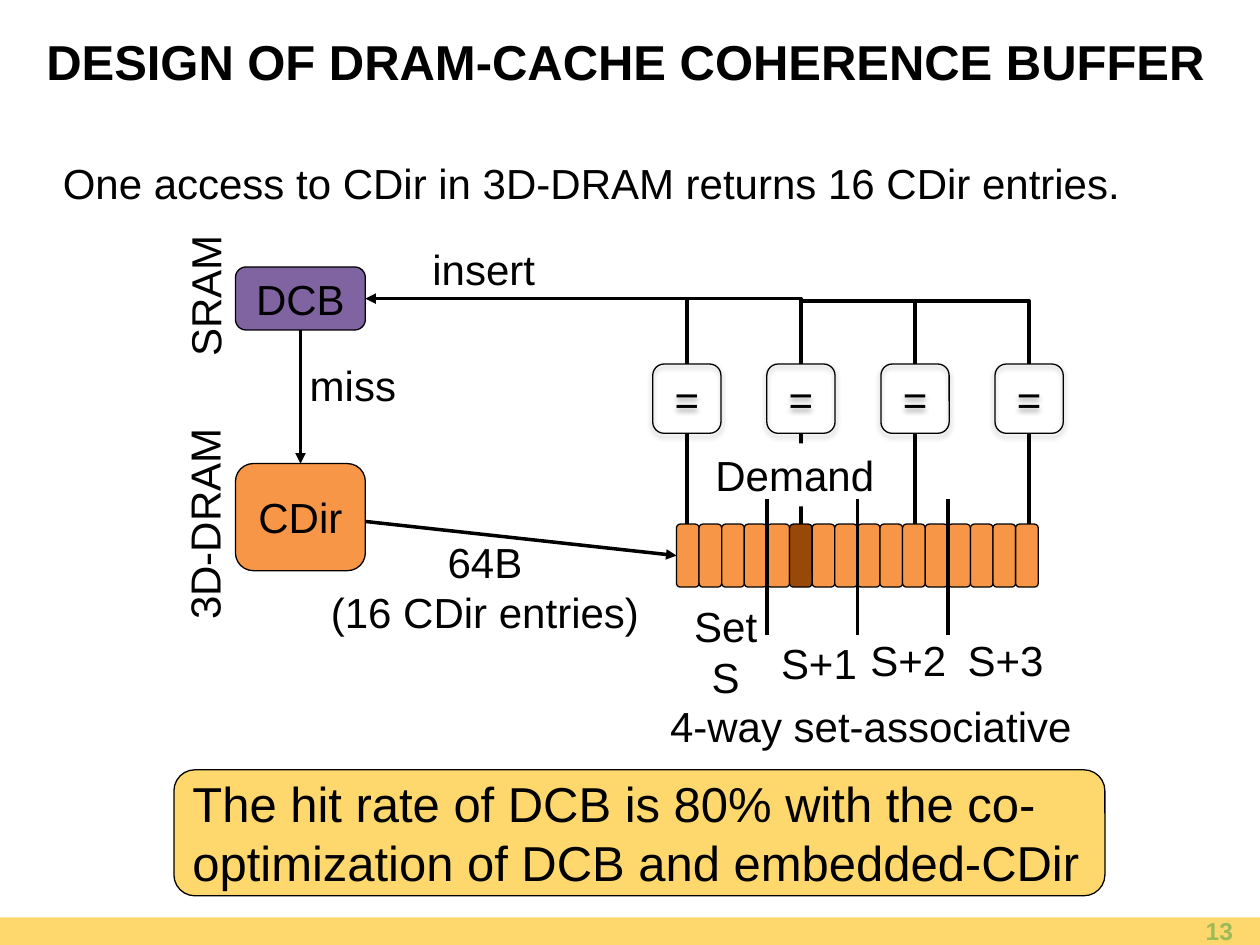
import pptx
import pptx.dml.color
import pptx.enum.shapes
import pptx.enum.text
import pptx.oxml.ns
import pptx.oxml.xmlchemy
import pptx.util

Pt = pptx.util.Pt
SHAPES = pptx.enum.shapes.MSO_SHAPE
CONNECTORS = pptx.enum.shapes.MSO_CONNECTOR
ALIGN = pptx.enum.text.PP_ALIGN
ANCHOR = pptx.enum.text.MSO_ANCHOR
qn = pptx.oxml.ns.qn
new_element = pptx.oxml.xmlchemy.OxmlElement

COLORS = {
    "black": "000000",
    "white": "FFFFFF",
    "gold": "FFD86D",
    "orange": "F79646",
    "brown": "984807",
    "purple": "8064A2",
    "green": "9BBB59",
}


def rgb(name):
    return pptx.dml.color.RGBColor.from_string(COLORS[name])


def write(shape, text, size=24, align=ALIGN.LEFT, anchor=ANCHOR.TOP,
          color="black", bold=False, wrap=True):
    frame = shape.text_frame
    frame.word_wrap = wrap
    frame.vertical_anchor = anchor
    for index, line in enumerate(text.split("\n")):
        paragraph = frame.paragraphs[0] if index == 0 else frame.add_paragraph()
        paragraph.alignment = align
        run = paragraph.add_run()
        run.text = line
        run.font.name = "Arial"
        run.font.size = Pt(size)
        run.font.bold = bold
        run.font.color.rgb = rgb(color)


def add_label(slide, box, text, rotation=0, **style):
    shape = slide.shapes.add_textbox(*map(Pt, box))
    shape.rotation = rotation
    write(shape, text, **style)


def add_block(slide, box, fill=None, kind=SHAPES.ROUNDED_RECTANGLE, outline=True):
    shape = slide.shapes.add_shape(kind, *map(Pt, box))
    shape.shadow.inherit = False
    if fill:
        shape.fill.solid()
        shape.fill.fore_color.rgb = rgb(fill)
    else:
        shape.fill.background()
    if outline:
        shape.line.color.rgb = rgb("black")
        shape.line.width = Pt(0.75)
    else:
        shape.line.fill.background()
    return shape


def add_line(slide, start, end, arrow=False, kind=CONNECTORS.STRAIGHT):
    line = slide.shapes.add_connector(kind, *map(Pt, (*start, *end)))
    line.line.color.rgb = rgb("black")
    line.line.width = Pt(2)
    properties = line._element.spPr
    if arrow:
        tail = new_element("a:tailEnd")
        tail.set("type", "triangle")
        properties.find(qn("a:ln")).append(tail)
    properties.append(new_element("a:effectLst"))
    return line


def add_corner(slide, start, end, arrow=False):
    """Elbow that runs up from start, then left to end."""
    center_x, center_y = (start[0] + end[0]) / 2, (start[1] + end[1]) / 2
    half_x, half_y = (start[0] - end[0]) / 2, (start[1] - end[1]) / 2
    # The one-bend preset is drawn lying down and turned by 270 degrees
    corner = add_line(slide, (center_x - half_y, center_y + half_x),
                      (center_x + half_y, center_y - half_x),
                      arrow, CONNECTORS.ELBOW)
    properties = corner._element.spPr
    properties.find(qn("a:prstGeom")).set("prst", "bentConnector2")
    properties.find(qn("a:xfrm")).set("rot", "16200000")


def add_soft_shadow(shape):
    effects = shape._element.spPr.find(qn("a:effectLst"))
    shadow = new_element("a:outerShdw")
    for name, value in (("blurRad", Pt(3.1)), ("dist", Pt(1.8)),
                        ("dir", 5400000), ("rotWithShape", 0)):
        shadow.set(name, str(int(value)))
    color = new_element("a:srgbClr")
    color.set("val", COLORS["black"])
    alpha = new_element("a:alpha")
    alpha.set("val", "35000")
    color.append(alpha)
    shadow.append(color)
    effects.append(shadow)


def add_header(slide, left, top, width):
    add_label(slide, (left, top, width, 38), "DESIGN OF DRAM-CACHE COHERENCE BUFFER",
              size=28, bold=True, anchor=ANCHOR.MIDDLE)
    add_label(slide, (left + 9.4, top + 70.5, width, 36),
              "One access to CDir in 3D-DRAM returns 16 CDir entries.")


def add_footer(slide, left, top, width, height):
    add_block(slide, (left, top, width, height), "gold", SHAPES.RECTANGLE, False)
    add_label(slide, (left + width - 176.4, top - 2, 168, 19), "13", size=14, bold=True,
              color="green", align=ALIGN.RIGHT, anchor=ANCHOR.MIDDLE)


def add_memories(slide, left, top, width):
    """DCB in SRAM above CDir in 3D-DRAM, joined by the miss arrow."""
    dcb_height, cdir_top, cdir_height = 36, 112.3, 61.2
    for name, y, height, fill in (("DCB", 0, dcb_height, "purple"),
                                  ("CDir", cdir_top, cdir_height, "orange")):
        block = add_block(slide, (left, top + y, width, height), fill)
        write(block, name, align=ALIGN.CENTER, anchor=ANCHOR.MIDDLE)
    for name, x, y, length in (("SRAM", -69.1, -1.4, 103), ("3D-DRAM", -81.4, 128.9, 126.7)):
        add_label(slide, (left + x, top + y, length, 36), name, 270, align=ALIGN.CENTER)
    middle = left + width / 2
    add_line(slide, (middle, top + dcb_height), (middle, top + cdir_top), arrow=True)
    add_label(slide, (left + 35.3, top + 49, 66, 37), "miss")


def add_comparators(slide, left, top, pitch, bus_end, bus_y, entries_top):
    """One comparator per way, fed by the entries and joined to the insert bus."""
    width, height = 39, 39.6
    centers = [left + width / 2 + way * pitch for way in range(4)]
    right_bus_y = bus_y + 1.4
    for center in centers:
        box = add_block(slide, (center - width / 2, top, width, height))
        add_soft_shadow(box)
        write(box, "=", align=ALIGN.CENTER, anchor=ANCHOR.MIDDLE)
        add_line(slide, (center, entries_top), (center, top + height))
    # Bus: the second and fourth ways bend into it, the others tap it
    add_corner(slide, (centers[1], top), (bus_end, bus_y), arrow=True)
    add_corner(slide, (centers[3], top), (centers[1], right_bus_y))
    add_line(slide, (centers[0], top), (centers[0], bus_y))
    add_line(slide, (centers[2], top), (centers[2], right_bus_y))
    add_label(slide, (bus_end + 31.2, bus_y - 35.2, 79, 36), "insert")


def add_entries(slide, left, top, pitch):
    """Sixteen CDir entries in four sets, the demanded one marked."""
    count, ways, demanded = 16, 4, 5
    for index in range(count):
        fill = "brown" if index == demanded else "orange"
        add_block(slide, (left + index * pitch, top, pitch, 36), fill)

    demand = add_block(slide, (left + 15.1, top - 46.1, 106.6, 36), "white",
                       SHAPES.RECTANGLE, False)
    write(demand, "Demand", wrap=False)

    # Borders between the sets
    for index in range(ways, count, ways):
        x = left + index * pitch
        add_line(slide, (x, top - 14.4), (x, top + 63.4))

    # Set names
    add_label(slide, (left - 0.7, top + 40.3, 57.6, 65.5), "Set\nS",
              align=ALIGN.CENTER, wrap=False)
    for name, x, y in (("S+1", 52.6, 61.2), ("S+2", 103.7, 59.8), ("S+3", 159.2, 59.8)):
        add_label(slide, (left + x, top + y, 58.3, 36), name, wrap=False)
    add_label(slide, (left - 10.8, top + 97.2, 246.2, 36), "4-way set-associative",
              wrap=False)


def add_transfer(slide, start, end):
    add_line(slide, start, end, arrow=True)
    add_label(slide, (start[0] - 27.4, start[1] + 5, 191.5, 65.5),
              "64B\n(16 CDir entries)", align=ALIGN.CENTER)


def add_conclusion(slide, left, top, width, height):
    box = add_block(slide, (left, top, width, height), "gold")
    write(box, "The hit rate of DCB is 80% with the co-optimization of DCB and embedded-CDir",
          size=28, anchor=ANCHOR.MIDDLE)


def main():
    presentation = pptx.Presentation()
    presentation.slide_width, presentation.slide_height = Pt(720), Pt(540)
    slide = presentation.slides.add_slide(presentation.slide_layouts[6])
    add_footer(slide, 0, 524.2, 720, 15.8)
    add_header(slide, 19.4, 16, 692)
    add_comparators(slide, 373, 208, 65.2, 208.8, 170.7, 299.5)
    add_memories(slide, 134.6, 152.6, 74.2)
    add_entries(slide, 386.6, 299.5, 12.92)
    add_transfer(slide, (208.8, 298), (386.6, 317.5))
    add_conclusion(slide, 99.4, 439.9, 532, 72)
    presentation.save("out.pptx")


if __name__ == "__main__":
    main()
